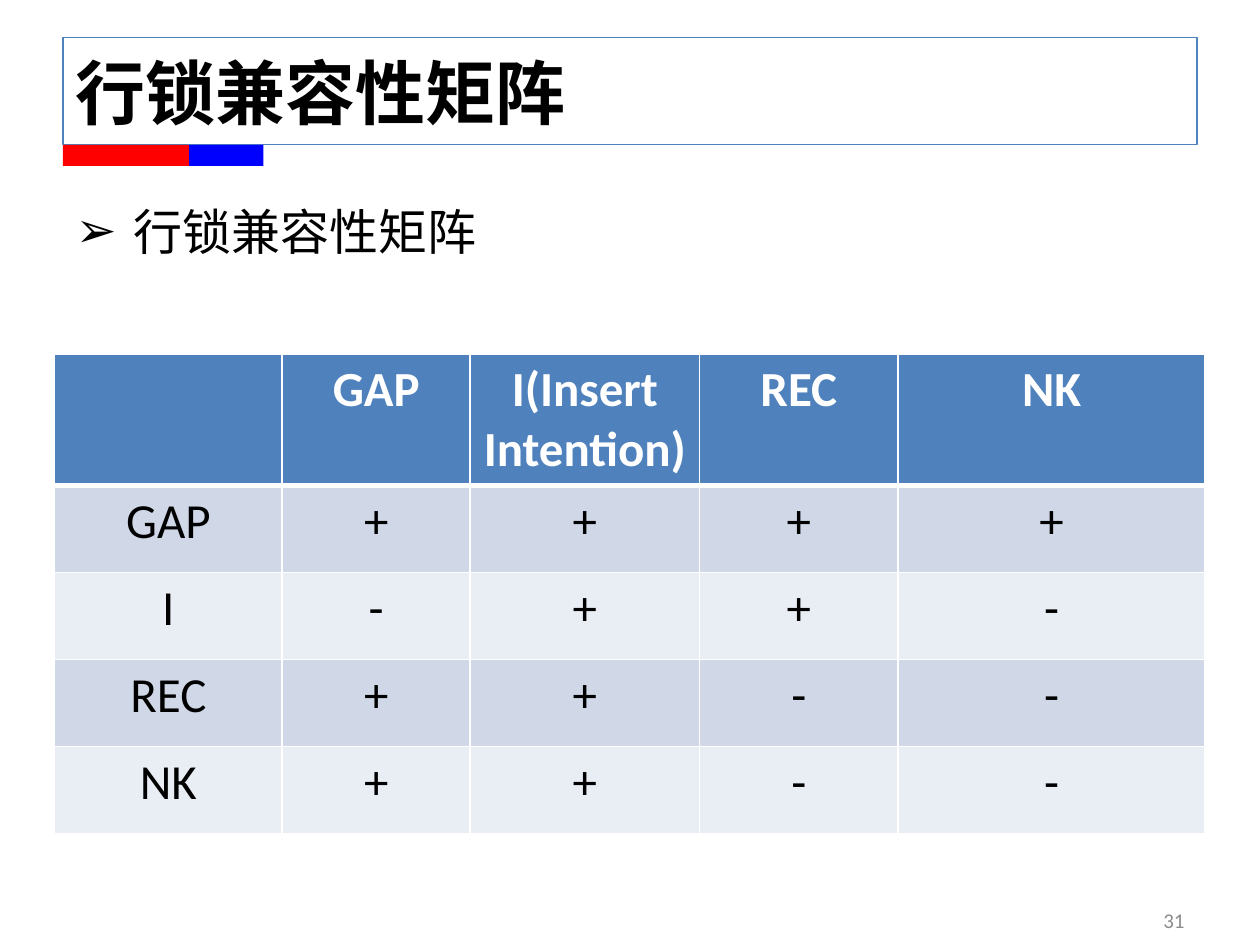
from lxml import etree
from pptx import Presentation
from pptx.dml.color import RGBColor
from pptx.enum.shapes import MSO_SHAPE
from pptx.enum.text import MSO_ANCHOR, PP_ALIGN
from pptx.oxml.ns import qn
from pptx.util import Pt

RECTANGLE = MSO_SHAPE.RECTANGLE
MIDDLE = MSO_ANCHOR.MIDDLE
LEFT, CENTER, RIGHT = PP_ALIGN.LEFT, PP_ALIGN.CENTER, PP_ALIGN.RIGHT

BLACK = RGBColor(0x00, 0x00, 0x00)
WHITE = RGBColor(0xFF, 0xFF, 0xFF)
GRAY = RGBColor(0x8C, 0x8C, 0x8C)
RED = RGBColor(0xFF, 0x00, 0x00)
BLUE = RGBColor(0x00, 0x00, 0xFF)
ACCENT = RGBColor(0x4F, 0x81, 0xBD)
BANDS = (RGBColor(0xD0, 0xD8, 0xE8), RGBColor(0xE9, 0xED, 0xF4))

LATIN_FONT = "Calibri"
CHINESE_FONT = "Noto Sans CJK SC"

LOCK_MATRIX = [
    ["", "GAP", "I(Insert Intention)", "REC", "NK"],
    ["GAP", "+", "+", "+", "+"],
    ["I", "-", "+", "+", "-"],
    ["REC", "+", "+", "-", "-"],
    ["NK", "+", "+", "-", "-"],
]
COLUMN_WIDTHS = (130, 107.5, 131, 113.5, 175.5)
HEADER_HEIGHT, ROW_HEIGHT = 75, 49.8


def place(shape, left, top, width, height):
    shape.left, shape.top = Pt(left), Pt(top)
    shape.width, shape.height = Pt(width), Pt(height)


def format_paragraph(paragraph, size, color, alignment, bold=False):
    paragraph.alignment = alignment
    font = paragraph.font
    font.size, font.bold, font.name = Pt(size), bold, LATIN_FONT
    font.color.rgb = color
    etree.SubElement(font._element, qn("a:ea"), typeface=CHINESE_FONT)


def add_bar(slide, left, top, width, height, color):
    bar = slide.shapes.add_shape(RECTANGLE, Pt(left), Pt(top), Pt(width), Pt(height))
    bar.shadow.inherit = False
    bar.fill.solid()
    bar.fill.fore_color.rgb = color
    bar.line.fill.background()


def fill_title(slide, left, top, width, height):
    title = slide.shapes.title
    place(title, left, top, width, height)
    title.line.color.rgb = ACCENT
    title.line.width = Pt(0.75)
    title.text_frame.text = "行锁兼容性矩阵"
    title.text_frame.vertical_anchor = MIDDLE
    format_paragraph(title.text_frame.paragraphs[0], 40, BLACK, LEFT, bold=True)
    bottom = top + height
    add_bar(slide, left, bottom, 72, 12, RED)
    add_bar(slide, left + 72, bottom, 42.5, 12, BLUE)


def fill_body(slide, left, top, width, height):
    body = slide.placeholders[1]
    place(body, left, top, width, height)
    body.text_frame.text = " 行锁兼容性矩阵"
    paragraph = body.text_frame.paragraphs[0]
    format_paragraph(paragraph, 28, BLACK, LEFT)
    properties = paragraph._p.get_or_add_pPr()
    properties.set("marL", str(Pt(27)))
    properties.set("indent", str(-Pt(27)))
    bullet = etree.Element(qn("a:buChar"), char="➢")
    properties.find(qn("a:defRPr")).addprevious(bullet)


def set_borders(cell, bottom_width):
    properties = cell._tc.get_or_add_tcPr()
    sides = (("a:lnL", 1), ("a:lnR", 1), ("a:lnT", 1), ("a:lnB", bottom_width))
    for position, (tag, width) in enumerate(sides):
        border = etree.Element(qn(tag), w=str(Pt(width)))
        fill = etree.SubElement(border, qn("a:solidFill"))
        etree.SubElement(fill, qn("a:srgbClr"), val=str(WHITE))
        properties.insert(position, border)


def add_lock_table(slide, left, top, width, height):
    frame = slide.shapes.add_table(
        len(LOCK_MATRIX), len(COLUMN_WIDTHS), Pt(left), Pt(top), Pt(width), Pt(height)
    )
    table = frame.table
    for column, column_width in zip(table.columns, COLUMN_WIDTHS):
        column.width = Pt(column_width)
    for row_index, labels in enumerate(LOCK_MATRIX):
        header = row_index == 0
        table.rows[row_index].height = Pt(HEADER_HEIGHT if header else ROW_HEIGHT)
        for column_index, label in enumerate(labels):
            cell = table.cell(row_index, column_index)
            cell.text = label
            cell.fill.solid()
            cell.fill.fore_color.rgb = ACCENT if header else BANDS[(row_index - 1) % 2]
            format_paragraph(
                cell.text_frame.paragraphs[0], 28, WHITE if header else BLACK, CENTER, header
            )
            set_borders(cell, 3 if header else 1)


def add_page_number(slide, left, top, width, height):
    box = slide.shapes.add_textbox(Pt(left), Pt(top), Pt(width), Pt(height))
    frame = box.text_frame
    frame.word_wrap = True
    frame.vertical_anchor = MIDDLE
    frame.text = "31"
    format_paragraph(frame.paragraphs[0], 12, GRAY, RIGHT)


def main():
    presentation = Presentation()
    presentation.slide_width, presentation.slide_height = Pt(720), Pt(540)
    slide = presentation.slides.add_slide(presentation.slide_layouts[1])
    fill_title(slide, 36, 21.6, 648, 61.2)
    fill_body(slide, 36, 111.6, 648, 414.7)
    add_page_number(slide, 516, 511.5, 168, 28.5)
    table_height = HEADER_HEIGHT + ROW_HEIGHT * (len(LOCK_MATRIX) - 1)
    add_lock_table(slide, 31.2, 202.3, sum(COLUMN_WIDTHS), table_height)
    presentation.save("out.pptx")


if __name__ == "__main__":
    main()
